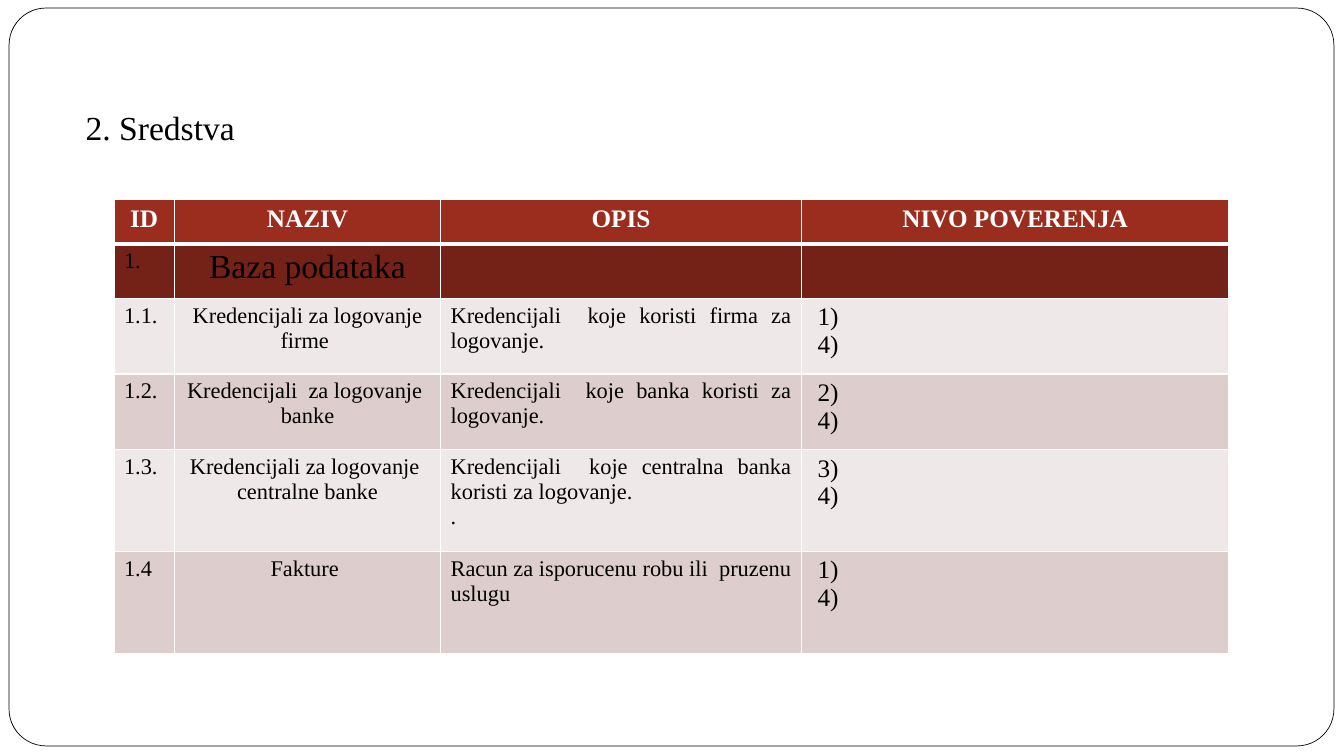
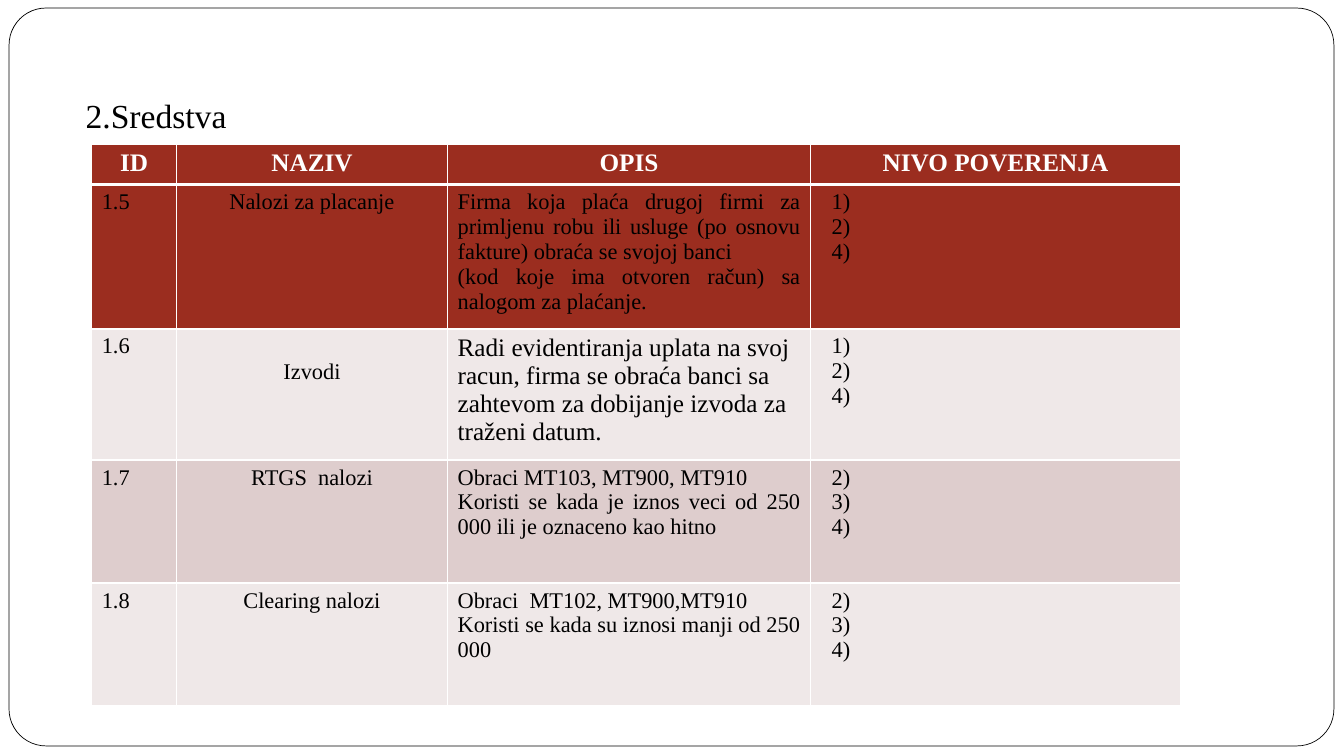
"""Build two slides that list assets and their trust levels in tables."""
import dataclasses
import pptx
import pptx.dml.color
import pptx.enum.shapes
import pptx.enum.text
import pptx.oxml.ns
import pptx.util
from lxml import etree
from pptx.util import Inches


@dataclasses.dataclass
class Theme:
    font: str = "Times New Roman"
    black: str = "000000"
    white: str = "FFFFFF"
    red: str = "9B2D1F"
    dark: str = "742217"
    light: str = "EFE8E8"
    rose: str = "DECDCD"
    title: int = 24
    head: int = 18
    body: int = 16


theme = Theme()
rgb = pptx.dml.color.RGBColor.from_string
align = pptx.enum.text.PP_ALIGN


def write(frame, text, size=theme.body, color=theme.black, bold=False, side=align.LEFT, before=0):
    frame.word_wrap = True
    for num, line in enumerate(text.split("\n")):
        para = frame.paragraphs[0] if num == 0 else frame.add_paragraph()
        para.alignment = side
        para.space_before = pptx.util.Pt(before)
        run = para.add_run()
        run.text = line
        run.font.name = theme.font
        run.font.size = pptx.util.Pt(size)
        run.font.bold = bold
        run.font.color.rgb = rgb(color)


def border(cell, edge, width):
    props = cell._tc.get_or_add_tcPr()
    line = etree.SubElement(props, pptx.oxml.ns.qn("a:" + edge), w=str(pptx.util.Pt(width)))
    fill = etree.SubElement(line, pptx.oxml.ns.qn("a:solidFill"))
    etree.SubElement(fill, pptx.oxml.ns.qn("a:srgbClr"), val=theme.white)


heads = ["ID", "NAZIV", "OPIS", "NIVO POVERENJA"]
sides = [align.LEFT, align.CENTER, align.JUSTIFY, align.LEFT]
pages = [
    dict(
        title="2. Sredstva", top=1.01, left=1.13, start=1.98,
        cols=[0.6, 2.64, 3.58, 4.24], rows=[0.44, 0.54, 0.75, 0.75, 1.01, 1.01],
        fills=[theme.dark, theme.light, theme.rose, theme.light, theme.rose],
        level=theme.head, inset=0.16,
        special={(1, 1): dict(size=theme.title)}, drops={},
        data=[
            ["1.", "Baza podataka", "", ""],
            ["1.1.", "Kredencijali za logovanje\nfirme ",
             "Kredencijali  koje koristi firma za logovanje.", "1)\n4)"],
            ["1.2.", "Kredencijali  za logovanje  banke",
             "Kredencijali  koje banka koristi za logovanje.", "2)\n4)"],
            ["1.3.", "Kredencijali za logovanje  centralne banke",
             "Kredencijali  koje centralna banka koristi za logovanje.\n.", "3)\n4)"],
            ["1.4", "Fakture ", "Racun za isporucenu robu ili  pruzenu uslugu ", "1)\n4)"],
        ],
    ),
    dict(
        title="2.Sredstva", top=0.89, left=0.91, start=1.43,
        cols=[0.84, 2.69, 3.6, 3.67], rows=[0.37, 1.33, 1.21, 1.22, 1.22],
        fills=[theme.red, theme.light, theme.rose, theme.light],
        level=theme.body, inset=0.21,
        special={(2, 2): dict(size=theme.head, side=align.LEFT)}, drops={(2, 1): 0.3},
        data=[
            ["1.5", "Nalozi za placanje",
             "Firma koja plaća drugoj firmi za primljenu robu ili usluge (po osnovu fakture) "
             "obraća se svojoj banci\n(kod koje ima otvoren račun) sa nalogom za plaćanje.",
             "1)\n2)\n4)"],
            ["1.6", "Izvodi",
             "Radi evidentiranja uplata na svoj racun, firma se obraća banci sa zahtevom "
             "za dobijanje izvoda za\ntraženi datum.", "1)\n2)\n4)"],
            ["1.7", "RTGS  nalozi",
             "Obraci MT103, MT900, MT910\nKoristi se kada je iznos veci od 250 000 "
             "ili je oznaceno kao hitno", "2)\n3)\n4)"],
            ["1.8", "Clearing nalozi",
             "Obraci  MT102, MT900,MT910\nKoristi se kada su iznosi manji od 250 000",
             "2)\n3)\n4)"],
        ],
    ),
]

deck = pptx.Presentation()
deck.slide_width = Inches(13.33)
deck.slide_height = Inches(7.5)

for page in pages:
    slide = deck.slides.add_slide(deck.slide_layouts[6])
    panel = slide.shapes.add_shape(
        pptx.enum.shapes.MSO_SHAPE.ROUNDED_RECTANGLE,
        Inches(0.09), Inches(0.08), Inches(13.14), Inches(7.32))
    panel.adjustments[0] = 0.05
    panel.shadow.inherit = False
    panel.fill.solid()
    panel.fill.fore_color.rgb = rgb(theme.white)
    panel.line.color.rgb = rgb(theme.black)
    panel.line.width = pptx.util.Pt(0.5)

    title = slide.shapes.add_textbox(Inches(0.75), Inches(page["top"]), Inches(11.08), Inches(0.79))
    write(title.text_frame, page["title"], size=theme.title, before=5.8)

    cols, rows = page["cols"], page["rows"]
    table = slide.shapes.add_table(
        len(rows), len(cols), Inches(page["left"]), Inches(page["start"]),
        Inches(sum(cols)), Inches(sum(rows))).table
    table.horz_banding = False
    for col, width in zip(table.columns, cols):
        col.width = Inches(width)
    for row, height in zip(table.rows, rows):
        row.height = Inches(height)

    fills = [theme.red] + page["fills"]
    for r, texts in enumerate([heads] + page["data"]):
        for c, text in enumerate(texts):
            cell = table.cell(r, c)
            for edge in ("lnL", "lnR", "lnT", "lnB"):
                thick = (r, edge) in ((0, "lnB"), (1, "lnT"))
                border(cell, edge, 3 if thick else 1)
            cell.fill.solid()
            cell.fill.fore_color.rgb = rgb(fills[r])
            look = dict(side=sides[c])
            if r == 0:
                look = dict(size=theme.head, color=theme.white, bold=True, side=align.CENTER)
            elif c == 3:
                look["size"] = page["level"]
                cell.margin_left = Inches(page["inset"])
            look.update(page["special"].get((r, c), {}))
            cell.margin_top = Inches(page["drops"].get((r, c), 0.05))
            if text:
                write(cell.text_frame, text, **look)

deck.save("out.pptx")
